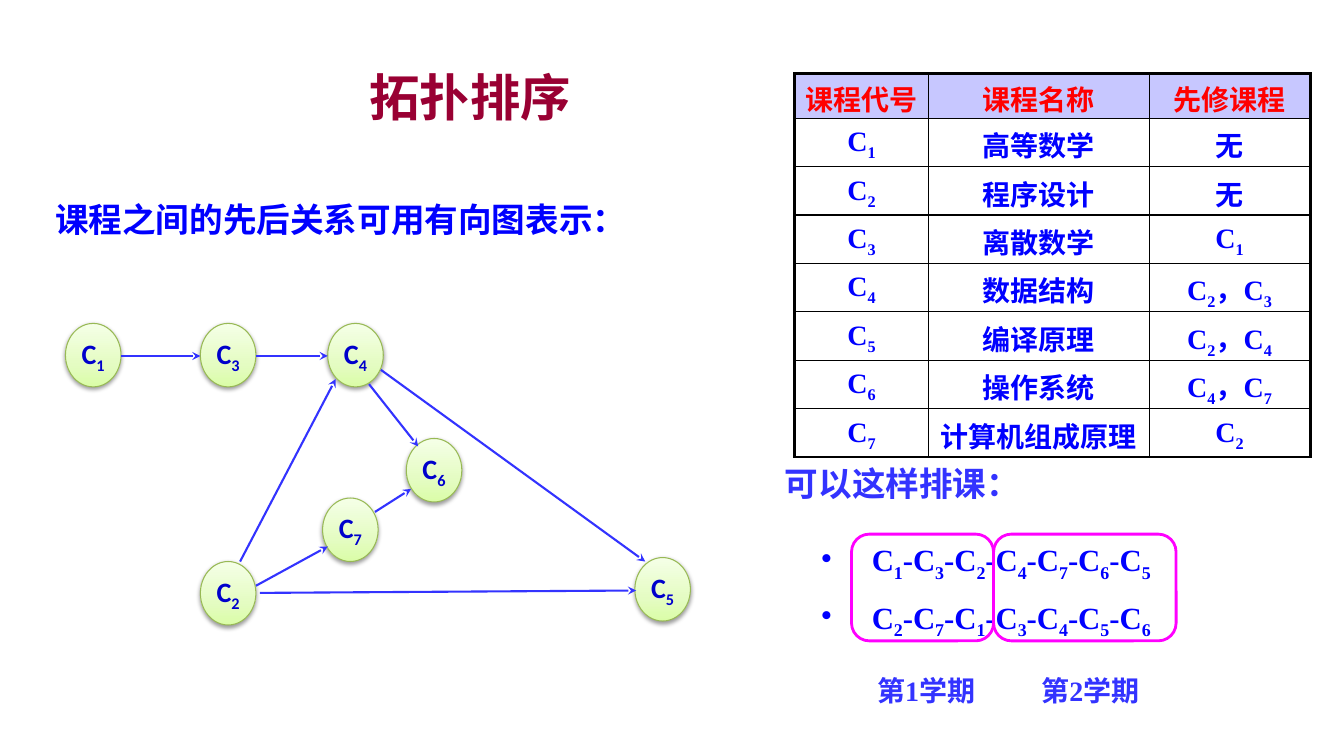
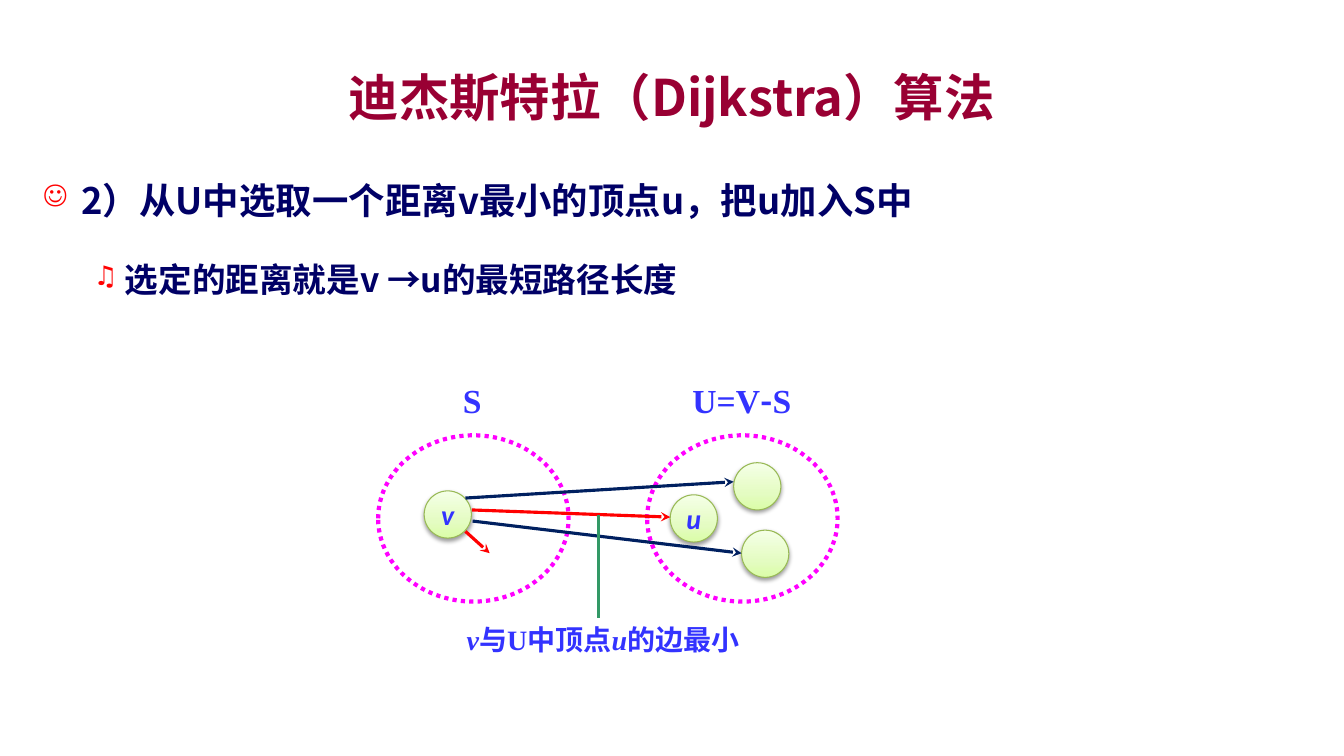
from dataclasses import dataclass

from lxml.etree import SubElement
from pptx import Presentation
from pptx.dml.color import RGBColor
from pptx.enum.dml import MSO_LINE
from pptx.enum.shapes import MSO_CONNECTOR, MSO_SHAPE
from pptx.enum.text import MSO_ANCHOR, PP_ALIGN
from pptx.oxml.ns import qn
from pptx.util import Cm, Pt


@dataclass(frozen=True)
class Theme:
    title: str = "990033"
    body: str = "000066"
    blue: str = "0000FF"
    violet: str = "3333FF"
    node_text: str = "0000CC"
    node_line: str = "98B955"
    magenta: str = "FF00FF"
    red: str = "FF0000"
    navy: str = "002060"
    green: str = "339966"
    black: str = "000000"
    header: str = "C7C7FF"
    node_stops: tuple = ((0, "DAFDA7"), (35, "E4FCC2"), (100, "F5FFE7"))
    serif: str = "Times New Roman"
    sans: str = "Calibri"
    chinese: str = "Noto Sans CJK SC"
    latin_title: str = "DejaVu Sans"
    title_size: int = 36
    lead_size: int = 26
    text_size: int = 24
    list_size: int = 22
    small_size: int = 20


THEME = Theme()

# Content: "_" lowers the next character, "*" slants it, "~" sets it in the Chinese font.
# Lengths are centimetres; boxes are (left, top, width, height).
COURSES = [
    ("课程代号", "课程名称", "先修课程"),
    ("C_1", "高等数学", "无"),
    ("C_2", "程序设计", "无"),
    ("C_3", "离散数学", "C_1"),
    ("C_4", "数据结构", "C_2，C_3"),
    ("C_5", "编译原理", "C_2，C_4"),
    ("C_6", "操作系统", "C_4，C_7"),
    ("C_7", "计算机组成原理", "C_2"),
]
COURSE_COLUMNS = (3.38, 5.56, 4.06)
COURSE_NODES = {
    "C_1": (1.65, 8.15), "C_3": (5.05, 8.15), "C_4": (8.26, 8.15), "C_2": (5.05, 14.15),
    "C_7": (8.13, 12.55), "C_6": (10.24, 11.05), "C_5": (16, 14.05),
}
PREREQUISITES = [
    (3.05, 8.97, 5.05, 8.97), (6.45, 8.97, 8.26, 8.97), (6.05, 14.15, 8.46, 9.55),
    (6.45, 14.76, 8.26, 13.77), (9.45, 12.9, 10.36, 12.32), (9.6, 9.32, 16.26, 14.15),
    (6.55, 14.94, 16.03, 14.88), (9.3, 9.68, 10.54, 11.25),
]
SCHEDULES = ["C_1-C_3-C_2-C_4-C_7-C_6-C_5", "C_2-C_7-C_1-C_3-C_4-C_5-C_6"]
TERMS = [("第1学期", 21.36, 21.46, 3.58), ("第2学期", 25.5, 25.04, 4.6)]

# (text, bullet, size, indent, hanging)
STEPS = [
    ("2）从U中选取一个距离v最小的顶点u，把u加入S中", "☺", THEME.lead_size, 0.96, 0.96),
    ("选定的距离就是v →u的最短路径长度", "♫", THEME.text_size, 2.06, 0.79),
]
VERTEX_SETS = [("U=V~-S", 16.31, 17.3, 2.79), ("S", 9.53, 11.1, 1.6)]
VERTICES = [("*v", 10.69, 12.37), ("*u", 16.89, 12.47), ("", 18.69, 13.36), ("", 18.49, 11.66)]
PATHS = [
    (THEME.red, (11.89, 12.85, 16.89, 13.03)),
    (THEME.red, (11.73, 13.39, 12.34, 13.94)),
    (THEME.navy, (11.73, 12.55, 18.49, 12.14)),
    (THEME.navy, (11.91, 13.13, 18.69, 13.94)),
]


# Text helpers
def split_marks(text):
    """Return (mark, characters) pairs for the marked-up text."""
    pieces, mark = [], ""
    for character in text:
        if character in "_*~":
            mark = character
        elif not mark and pieces and not pieces[-1][0]:
            pieces[-1] = ("", pieces[-1][1] + character)
        else:
            pieces.append((mark, character))
            mark = ""
    return pieces


def write(paragraph, text, size, color, font=THEME.serif, align=PP_ALIGN.LEFT):
    paragraph.alignment = align
    for mark, characters in split_marks(text):
        run = paragraph.add_run()
        run.text = characters
        run.font.size = Pt(size)
        run.font.bold = True
        run.font.color.rgb = RGBColor.from_string(color)
        run.font.name = THEME.chinese if mark == "~" else font
        properties = run.font._element
        SubElement(properties, qn("a:ea"), typeface=THEME.chinese)
        if mark == "_":
            properties.set("baseline", "-25000")
        elif mark == "*":
            run.font.italic = True


def add_bullet(paragraph, character, indent, hanging, color=None, percent=100):
    properties = paragraph._p.get_or_add_pPr()
    properties.set("marL", str(Cm(indent)))
    properties.set("indent", str(-Cm(hanging)))
    if color:
        SubElement(SubElement(properties, qn("a:buClr")), qn("a:srgbClr"), val=color)
    SubElement(properties, qn("a:buSzPct"), val=str(percent * 1000))
    SubElement(properties, qn("a:buChar"), char=character)


def add_frame(slide, box, inset=True):
    text_frame = slide.shapes.add_textbox(*map(Cm, box)).text_frame
    text_frame.word_wrap = True
    if not inset:
        text_frame.margin_left = text_frame.margin_right = 0
        text_frame.margin_top = text_frame.margin_bottom = 0
    return text_frame


def add_text(slide, box, text, size, color=THEME.violet, inset=True, **style):
    text_frame = add_frame(slide, box, inset)
    write(text_frame.paragraphs[0], text, size, color, **style)
    return text_frame


def add_title(slide, text, width, font):
    text_frame = add_text(slide, (2.54, 1.47, width, 1.91), text, THEME.title_size,
                          THEME.title, font=font, align=PP_ALIGN.CENTER)
    text_frame.vertical_anchor = MSO_ANCHOR.MIDDLE


# Shape helpers
def add_outline(slide, preset, box, width, dash=None):
    shape = slide.shapes.add_shape(preset, *map(Cm, box))
    shape.shadow.inherit = False
    shape.fill.background()
    shape.line.color.rgb = RGBColor.from_string(THEME.magenta)
    shape.line.width = Pt(width)
    if dash:
        shape.line.dash_style = dash


def add_node(slide, box, text, color):
    shape = slide.shapes.add_shape(MSO_SHAPE.OVAL, *map(Cm, box))
    shape.fill.gradient()
    shape.fill.gradient_angle = 90
    shape.line.color.rgb = RGBColor.from_string(THEME.node_line)
    shape.line.width = Pt(0.75)
    shape.shadow.inherit = False
    properties = shape._element.spPr
    stops = properties.find(".//" + qn("a:gsLst"))
    for stop in list(stops):
        stops.remove(stop)
    for position, stop_color in THEME.node_stops:
        stop = SubElement(stops, qn("a:gs"), pos=str(position * 1000))
        SubElement(stop, qn("a:srgbClr"), val=stop_color)
    shadow = SubElement(properties.find(qn("a:effectLst")), qn("a:outerShdw"),
                        blurRad=str(Pt(3.1)), dist=str(Pt(1.6)), dir="5400000", rotWithShape="0")
    shade = SubElement(shadow, qn("a:srgbClr"), val=THEME.black)
    SubElement(shade, qn("a:alpha"), val="38000")
    text_frame = shape.text_frame
    text_frame.word_wrap = False
    text_frame.vertical_anchor = MSO_ANCHOR.MIDDLE
    write(text_frame.paragraphs[0], text, THEME.small_size, color, THEME.sans, PP_ALIGN.CENTER)


def add_line(slide, ends, color, width, arrow=True):
    connector = slide.shapes.add_connector(MSO_CONNECTOR.STRAIGHT, *map(Cm, ends))
    connector.line.color.rgb = RGBColor.from_string(color)
    connector.line.width = Pt(width)
    properties = connector._element.spPr
    if arrow:
        SubElement(properties.find(qn("a:ln")), qn("a:tailEnd"), type="stealth")
    SubElement(properties, qn("a:effectLst"))


# Table
def set_borders(cell, outer_sides):
    properties = cell._tc.get_or_add_tcPr()
    for index, side in enumerate(("lnL", "lnR", "lnT", "lnB")):
        width = Pt(2.25 if outer_sides[index] else 1)
        border = properties.makeelement(qn("a:" + side), {"w": str(width)})
        fill = SubElement(border, qn("a:solidFill"))
        SubElement(fill, qn("a:srgbClr"), val=THEME.black)
        properties.insert(index, border)


def add_course_table(slide):
    last_row, last_column = len(COURSES) - 1, len(COURSE_COLUMNS) - 1
    heights = [1.13] + [1.22] * last_row
    table = slide.shapes.add_table(len(COURSES), len(COURSE_COLUMNS), Cm(20.02), Cm(1.85),
                                   Cm(sum(COURSE_COLUMNS)), Cm(sum(heights))).table
    table.first_row = table.horz_banding = False
    for column, width in zip(table.columns, COURSE_COLUMNS):
        column.width = Cm(width)
    for i, texts in enumerate(COURSES):
        table.rows[i].height = Cm(heights[i])
        for j, text in enumerate(texts):
            cell = table.cell(i, j)
            cell.margin_top, cell.margin_bottom = Cm(0.1), 0
            cell.vertical_anchor = MSO_ANCHOR.MIDDLE
            if i == 0:
                cell.fill.solid()
                cell.fill.fore_color.rgb = RGBColor.from_string(THEME.header)
            else:
                cell.fill.background()
            set_borders(cell, (j == 0, j == last_column, i == 0, i == last_row))
            write(cell.text_frame.paragraphs[0], text, THEME.small_size,
                  THEME.blue if i else THEME.red, align=PP_ALIGN.CENTER)


# Slides
def build_topological_sort(slide):
    add_title(slide, "拓扑排序", 18.62, THEME.latin_title)
    add_text(slide, (1.14, 4.9, 18.21, 1.27), "课程之间的先后关系可用有向图表示：",
             THEME.text_size, THEME.blue)
    for name, (left, top) in COURSE_NODES.items():
        add_node(slide, (left, top, 1.4, 1.6), name, THEME.node_text)
    for ends in PREREQUISITES:
        add_line(slide, ends, THEME.violet, 1.5)
    add_text(slide, (19.53, 11.53, 12.4, 1.27), "可以这样排课：", THEME.text_size)
    text_frame = add_frame(slide, (20.45, 13.51, 10.11, 2.62))
    for i, schedule in enumerate(SCHEDULES):
        paragraph = text_frame.add_paragraph() if i else text_frame.paragraphs[0]
        add_bullet(paragraph, "•", 1.27, 1.27)
        if i:
            paragraph.space_before = Pt(11)
        write(paragraph, schedule, THEME.list_size, THEME.blue)
    for term, label_left, left, width in TERMS:
        add_text(slide, (label_left, 16.84, 3.96, 1.12), term, THEME.small_size,
                 align=PP_ALIGN.CENTER)
        add_outline(slide, MSO_SHAPE.ROUNDED_RECTANGLE, (left, 13.46, width, 2.69), 2)
    add_course_table(slide)


def build_dijkstra(slide):
    add_title(slide, "迪杰斯特拉（Dijkstra）算法", 28.78, THEME.chinese)
    text_frame = add_frame(slide, (0.84, 3.81, 32.18, 14.4))
    for i, (text, bullet, size, indent, hanging) in enumerate(STEPS):
        paragraph = text_frame.add_paragraph() if i else text_frame.paragraphs[0]
        add_bullet(paragraph, bullet, indent, hanging, THEME.red, 80)
        paragraph.line_spacing = 1.5
        paragraph.space_before = Pt(6 if i else 0)
        paragraph.space_after = Pt(6)
        write(paragraph, text, size, THEME.body, THEME.chinese)
    for name, left, label_left, label_width in VERTEX_SETS:
        add_outline(slide, MSO_SHAPE.OVAL, (left, 10.97, 4.8, 4.19), 3, MSO_LINE.ROUND_DOT)
        add_text(slide, (label_left, 9.58, label_width, 1.02), name, THEME.text_size,
                 inset=False, align=PP_ALIGN.CENTER)
    for name, left, top in VERTICES:
        add_node(slide, (left, top, 1.19, 1.19), name, THEME.violet)
    for color, ends in PATHS:
        add_line(slide, ends, color, 2.25)
    add_line(slide, (15.09, 12.98, 15.09, 15.57), THEME.green, 2.25, arrow=False)
    add_text(slide, (11.51, 15.57, 7.59, 1.09), "*v与U中顶点*u的边最小", THEME.small_size)


def main():
    presentation = Presentation()
    presentation.slide_width, presentation.slide_height = Cm(33.87), Cm(19.05)
    for build in (build_topological_sort, build_dijkstra):
        build(presentation.slides.add_slide(presentation.slide_layouts[6]))
    presentation.save("out.pptx")


if __name__ == "__main__":
    main()
